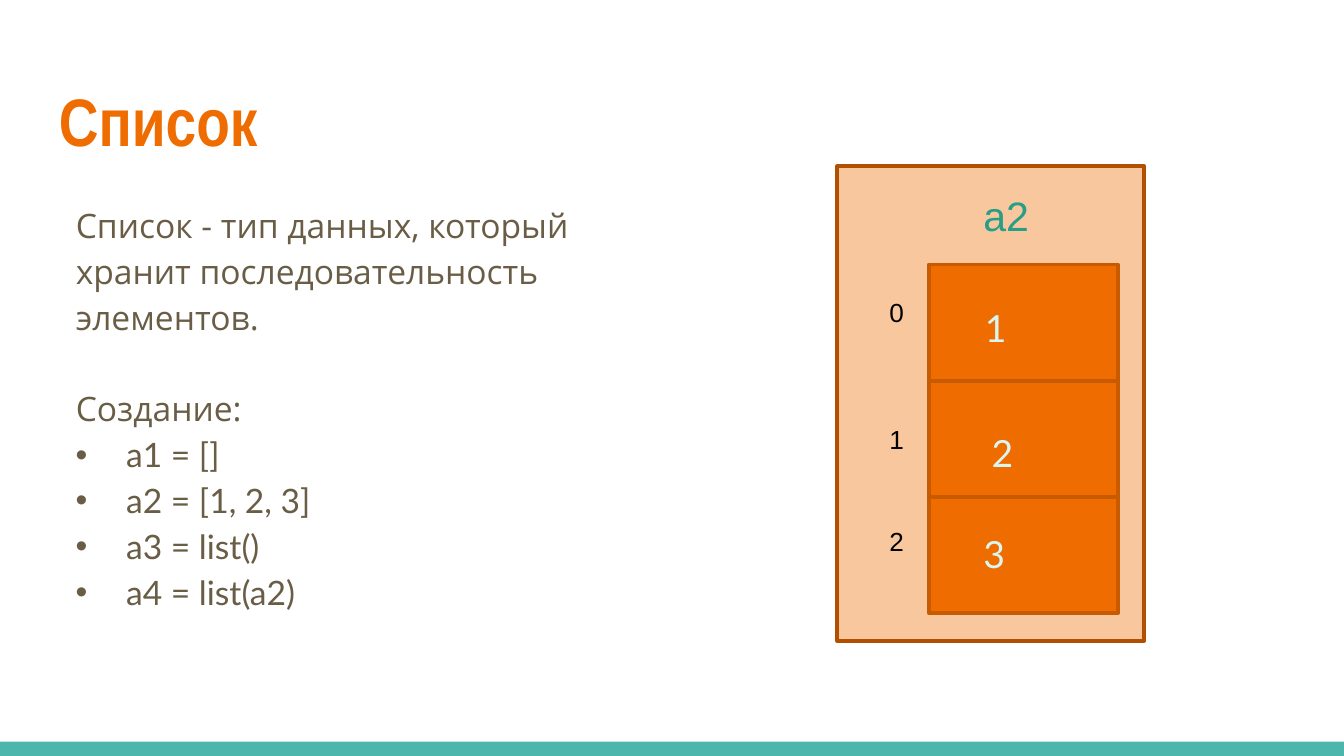
from lxml import etree
from pptx import Presentation
from pptx.dml.color import RGBColor
from pptx.enum import shapes, text
from pptx.oxml import ns
from pptx.util import Pt

ORANGE = RGBColor(0xEF, 0x6C, 0x00)
RUST = RGBColor(0xB1, 0x50, 0x00)
TEAL = RGBColor(0x4D, 0xB6, 0xAC)
GREEN = RGBColor(0x27, 0x9E, 0x85)
MINT = RGBColor(0xD9, 0xF6, 0xF0)
BROWN = RGBColor(0x69, 0x5D, 0x46)
BLACK = RGBColor(0, 0, 0)

LEAD = 24.6
INTRO = "Список - тип данных, который хранит последовательность элементов."
FORMS = ["a1 = []", "a2 = [1, 2, 3]", "a3 = list()", "a4 = list(a2)"]
INDEX = [("0", 469.4, 155.5), ("1", 469.4, 223.2), ("2", 469.4, 277.9)]
ITEMS = [("1", 520.6, 159.8), ("2", 524.2, 226.8), ("3", 519.8, 280.8)]


def set_font(para, face, size, color, bold=False):
    """Set the font of a whole paragraph."""
    font = para.font
    font.name, font.size, font.bold = face, Pt(size), bold
    font.color.rgb = color


def add_rect(slide, left, top, width, height, fill, line=None, alpha=None):
    """Add a rectangle, outlined or see-through on request."""
    rect = slide.shapes.add_shape(
        shapes.MSO_SHAPE.RECTANGLE, Pt(left), Pt(top), Pt(width), Pt(height))
    rect.shadow.inherit = False
    rect.fill.solid()
    rect.fill.fore_color.rgb = fill
    if line is None:
        rect.line.fill.background()
    else:
        rect.line.color.rgb = line
        rect.line.width = Pt(2)
    if alpha is not None:
        color = rect.fill._xPr.find(".//" + ns.qn("a:srgbClr"))
        etree.SubElement(color, ns.qn("a:alpha"), val=str(alpha * 1000))


def add_box(slide, left, top, width, height, inset=None):
    """Add a wrapping text box and return its frame."""
    box = slide.shapes.add_textbox(Pt(left), Pt(top), Pt(width), Pt(height))
    frame = box.text_frame
    frame.word_wrap = True
    if inset is not None:
        frame.margin_left = frame.margin_right = Pt(inset)
        frame.margin_top = frame.margin_bottom = Pt(inset)
    return frame


def add_label(slide, words, left, top, width, height, face, size, color):
    """Add a one-line label."""
    para = add_box(slide, left, top, width, height).paragraphs[0]
    para.text = words
    set_font(para, face, size, color)


def add_title(slide):
    """Add the slide title."""
    frame = add_box(slide, 24.5, 35.3, 671, 55.4, 7.2)
    frame.vertical_anchor = text.MSO_ANCHOR.TOP
    para = frame.paragraphs[0]
    para.text = "Список"
    set_font(para, "Arial Narrow", 36, ORANGE, True)


def indent(para, left, first, bullet=None):
    """Set paragraph indents and an optional bullet."""
    props = para._p.get_or_add_pPr()
    props.set("marL", str(Pt(left)))
    props.set("indent", str(Pt(first)))
    if bullet:
        color = etree.SubElement(props, ns.qn("a:buClr"))
        etree.SubElement(color, ns.qn("a:srgbClr"), val=str(BROWN))
        etree.SubElement(props, ns.qn("a:buFont"), typeface="Arial")
        etree.SubElement(props, ns.qn("a:buChar"), char=bullet)


def add_body(slide):
    """Add the definition and the list of ways to create a list."""
    frame = add_box(slide, 24.5, 99.4, 303.8, 259.9, 7.2)
    for i, words in enumerate([INTRO, "Создание:"] + FORMS):
        para = frame.add_paragraph() if i else frame.paragraphs[0]
        para.text = words
        para.line_spacing = Pt(LEAD)
        para.space_before = Pt(LEAD if i == 1 else 0)
        if i < 2:
            indent(para, 9, 0)
            set_font(para, "Open Sans", 18, BROWN)
        else:
            indent(para, 36, -27, "•")
            set_font(para, "Lato", 18, BROWN)


def add_diagram(slide):
    """Draw the list a2 as stacked cells with their indexes."""
    for i in range(3):
        add_rect(slide, 497.5, 141.8 + 62.2 * i, 101.5, 62.2, ORANGE, RUST)
    add_rect(slide, 448.5, 89, 164.5, 254.3, ORANGE, RUST, 38)
    add_label(slide, "a2", 519.8, 98.6, 47.5, 29.5, "Arial", 22, GREEN)
    for words, left, top in INDEX:
        add_label(slide, words, left, top, 24.5, 23.8, "Arial", 14, BLACK)
    for words, left, top in ITEMS:
        add_label(slide, words, left, top, 36, 31, "Lato", 20, MINT)


def main():
    """Build and save the slide."""
    deck = Presentation()
    deck.slide_width, deck.slide_height = Pt(720), Pt(405)
    slide = deck.slides.add_slide(deck.slide_layouts[6])
    add_rect(slide, 0, 397.4, 720, 7.6, TEAL)
    add_title(slide)
    add_body(slide)
    add_diagram(slide)
    deck.save("out.pptx")


if __name__ == "__main__":
    main()
